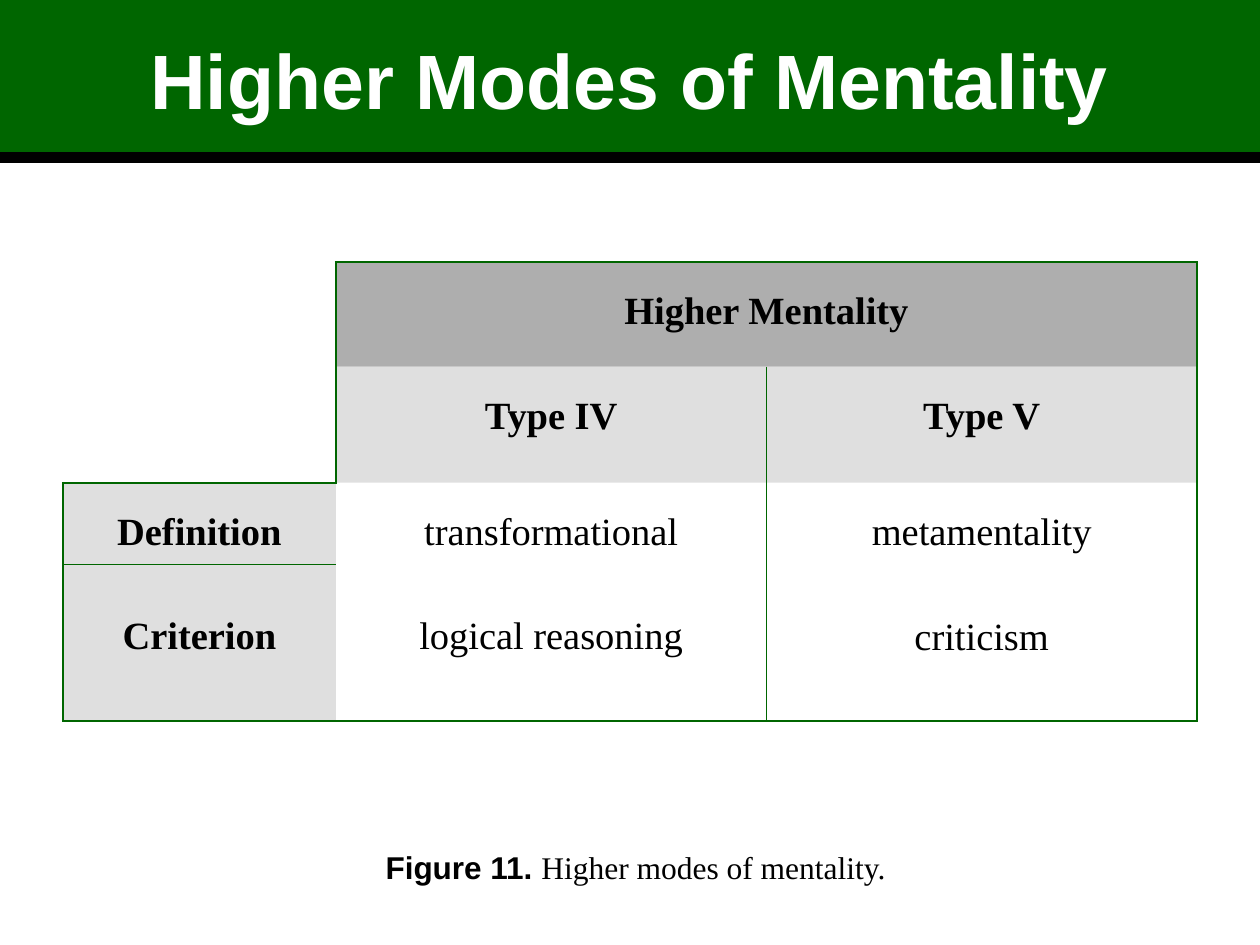
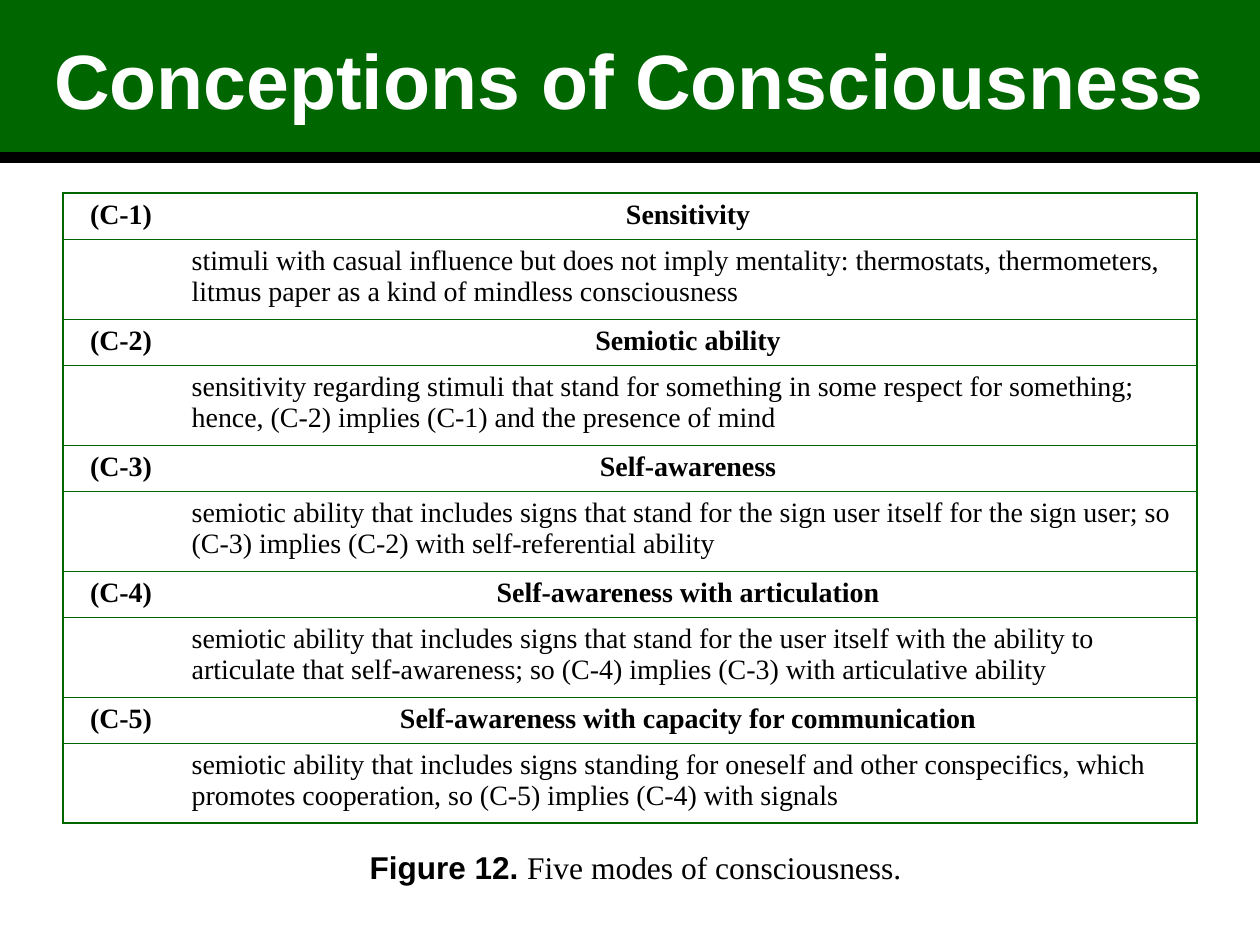
from lxml.etree import SubElement
from pptx import Presentation
from pptx.dml.color import RGBColor
from pptx.enum.shapes import MSO_CONNECTOR
from pptx.enum.text import MSO_ANCHOR, MSO_AUTO_SIZE, PP_ALIGN
from pptx.oxml.ns import qn
from pptx.util import Cm, Pt

GREEN, BLACK, WHITE = "006600", "000000", "FFFFFF"
DARK, LIGHT = "5F5F5F", "C0C0C0"
SANS, SERIF = "Arial", "Times New Roman"
THICK, THIN = 1.08, 0.45
PLAIN = "{2D5ABB26-0587-4C30-8999-92F81FD0307C}"
WIDE, LEFT = 25.4, 1.27
BAND = 3.18
HIGH, LOW = 0.57, 1.02

# Capital sides are thick borders, small ones are thin.
MODES = {
    "title": "Higher Modes of Mentality",
    "label": ("Figure 11. ", "Higher modes of mentality."),
    "top": 5.28,
    "cols": [5.5, 8.68, 8.68],
    "rows": [2.11, 2.34, 1.65, 3.15],
    "spans": [((0, 1), (0, 2)), ((2, 2), (3, 2))],
    "size": 22,
    "cells": [
        [("", None, False, HIGH, "R"),
         ("Higher Mentality", DARK, True, HIGH, "LTR"),
         ("", DARK, True, HIGH, "TR")],
        [("", None, False, HIGH, "RB"),
         ("Type IV", LIGHT, True, HIGH, "Lr"),
         ("Type V", LIGHT, True, HIGH, "lR")],
        [("Definition", LIGHT, True, HIGH, "LT"),
         ("transformational", None, False, HIGH, "r"),
         ("metamentality\ncriticism", None, False, HIGH, "lRB")],
        [("Criterion", LIGHT, True, LOW, "LB"),
         ("logical reasoning", None, False, LOW, "rB"),
         ("", None, False, HIGH, "lRB")],
    ],
}

KINDS = [
    ("Sensitivity",
     "stimuli with casual influence but does not imply mentality: thermostats, "
     "thermometers, litmus paper as a kind of mindless consciousness"),
    ("Semiotic ability",
     "sensitivity regarding stimuli that stand for something in some respect for "
     "something; hence, (C-2) implies (C-1) and the presence of mind"),
    ("Self-awareness",
     "semiotic ability that includes signs that stand for the sign user itself for "
     "the sign user; so (C-3) implies (C-2) with self-referential ability"),
    ("Self-awareness with articulation",
     "semiotic ability that includes signs that stand for the user itself with the "
     "ability to articulate that self-awareness; so (C-4) implies (C-3) with "
     "articulative ability"),
    ("Self-awareness with capacity for communication",
     "semiotic ability that includes signs standing for oneself and other "
     "conspecifics, which promotes cooperation, so (C-5) implies (C-4) with signals"),
]


def list_kinds():
    cells = []
    for num, (name, note) in enumerate(KINDS, 1):
        head = "T" if num == 1 else "t"
        foot = "B" if num == len(KINDS) else "b"
        cells.append([(f"(C-{num})", None, True, 0.13, "L" + head + "b"),
                      (name, None, True, 0.13, "R" + head + "b")])
        cells.append([("", None, False, 0.13, "Lt" + foot),
                      (note, None, False, 0.13, "Rt" + foot)])
    return cells


FORMS = {
    "title": "Conceptions of Consciousness",
    "label": ("Figure 12. ", "Five modes of consciousness."),
    "top": 3.89,
    "cols": [2.34, 20.52],
    "rows": [0.93, 1.61] * len(KINDS),
    "spans": [],
    "size": 16,
    "cells": list_kinds(),
}


def tint(code):
    return RGBColor.from_string(code)


def add_run(para, text, size, face, code, bold):
    run = para.add_run()
    run.text = text
    font = run.font
    font.size, font.name, font.bold = Pt(size), face, bold
    font.color.rgb = tint(code)


def add_band(slide, text):
    title = slide.shapes.title
    title.left, title.top = Cm(0), Cm(0)
    title.width, title.height = Cm(WIDE), Cm(BAND)
    title.fill.solid()
    title.fill.fore_color.rgb = tint(GREEN)
    frame = title.text_frame
    frame.vertical_anchor = MSO_ANCHOR.MIDDLE
    frame.auto_size = MSO_AUTO_SIZE.NONE
    para = frame.paragraphs[0]
    para.alignment = PP_ALIGN.CENTER
    add_run(para, text, 44, SANS, WHITE, True)
    rule = slide.shapes.add_connector(
        MSO_CONNECTOR.STRAIGHT, Cm(0), Cm(BAND), Cm(WIDE), Cm(BAND))
    rule.line.color.rgb = tint(BLACK)
    rule.line.width = Pt(6)
    SubElement(rule.element.spPr, qn("a:effectLst"))


def add_label(slide, head, text):
    box = slide.shapes.add_textbox(Cm(4.24), Cm(16.97), Cm(17.15), Cm(1.02))
    frame = box.text_frame
    frame.word_wrap = True
    frame.auto_size = MSO_AUTO_SIZE.SHAPE_TO_FIT_TEXT
    para = frame.paragraphs[0]
    para.alignment = PP_ALIGN.CENTER
    add_run(para, head, 18, SANS, BLACK, True)
    add_run(para, text, 18, SERIF, BLACK, False)


def fill_cell(cell, code):
    if code is None:
        cell.fill.background()
        return
    cell.fill.solid()
    cell.fill.fore_color.rgb = tint(code)
    shade = cell._tc.tcPr.find(".//" + qn("a:srgbClr"))
    SubElement(shade, qn("a:alpha"), val="50000")


def edge_cell(cell, sides):
    props = cell._tc.get_or_add_tcPr()
    drawn = [side for key in "LRTB" for side in sides if side.upper() == key]
    for spot, side in enumerate(drawn):
        width = THICK if side.isupper() else THIN
        line = SubElement(props, qn("a:ln" + side.upper()), w=str(Pt(width)))
        fill = SubElement(line, qn("a:solidFill"))
        SubElement(fill, qn("a:srgbClr"), val=GREEN)
        props.insert(spot, line)


def add_grid(slide, data):
    rows, cols = data["rows"], data["cols"]
    frame = slide.shapes.add_table(
        len(rows), len(cols), Cm(LEFT), Cm(data["top"]),
        Cm(sum(cols)), Cm(sum(rows)))
    frame.element.xpath(".//a:tableStyleId")[0].text = PLAIN
    table = frame.table
    table.first_row = table.horz_banding = False
    for part, size in zip(table.columns, cols):
        part.width = Cm(size)
    for part, size in zip(table.rows, rows):
        part.height = Cm(size)
    for start, end in data["spans"]:
        table.cell(*start).merge(table.cell(*end))
    for row, line in enumerate(data["cells"]):
        for col, (text, code, bold, top, sides) in enumerate(line):
            cell = table.cell(row, col)
            cell.margin_top = Cm(top)
            fill_cell(cell, code)
            edge_cell(cell, sides)
            if not text:
                continue
            for spot, words in enumerate(text.split("\n")):
                body = cell.text_frame
                para = body.add_paragraph() if spot else body.paragraphs[0]
                if spot:
                    para.space_before = Pt(36)
                para.alignment = (PP_ALIGN.LEFT if words in dict(KINDS).values()
                                  else PP_ALIGN.CENTER)
                add_run(para, words, data["size"], SERIF, BLACK, bold)


def main():
    deck = Presentation()
    deck.slide_width, deck.slide_height = Cm(WIDE), Cm(19.05)
    for data in (MODES, FORMS):
        slide = deck.slides.add_slide(deck.slide_layouts[5])
        add_band(slide, data["title"])
        add_grid(slide, data)
        add_label(slide, *data["label"])
    deck.save("out.pptx")


if __name__ == "__main__":
    main()
